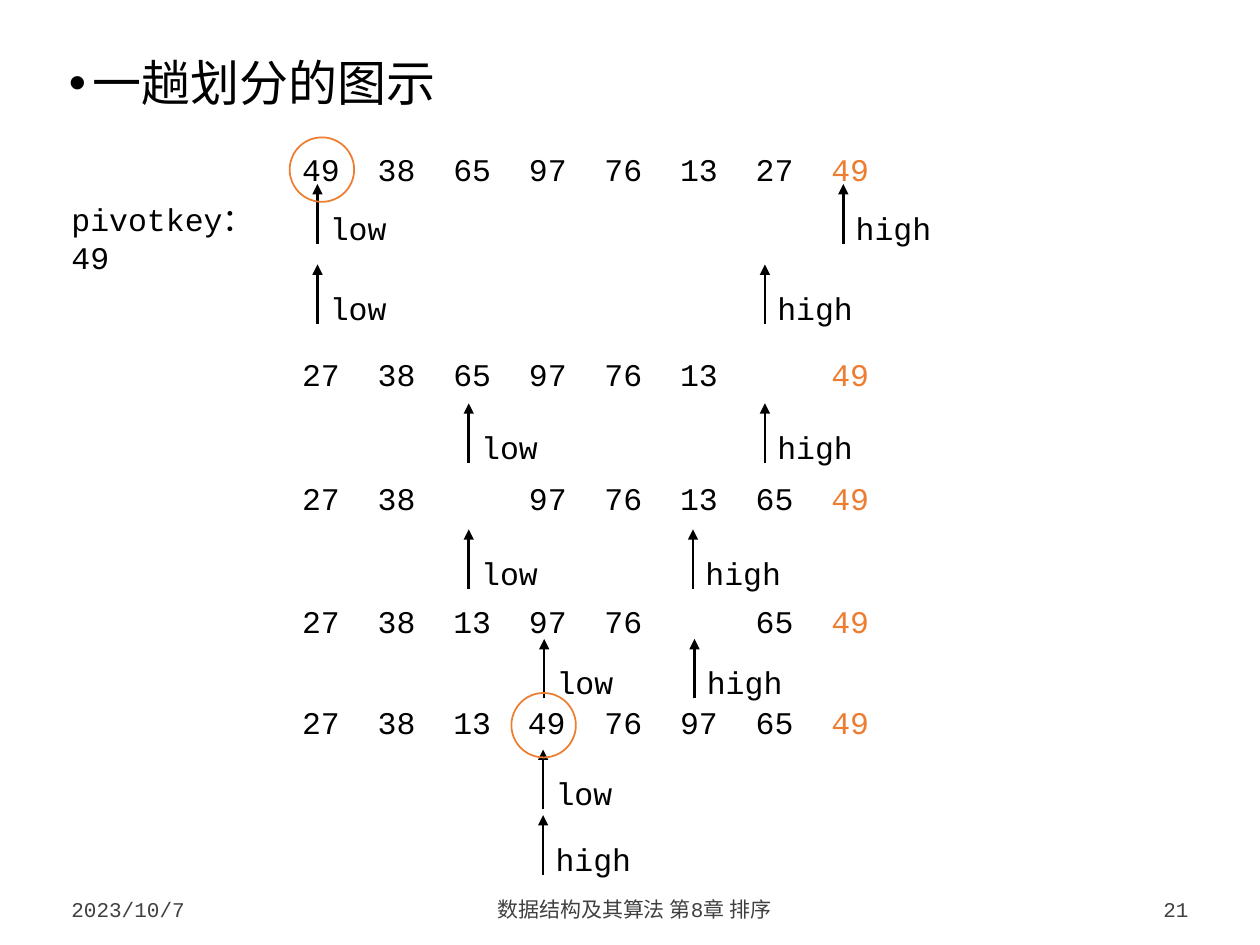
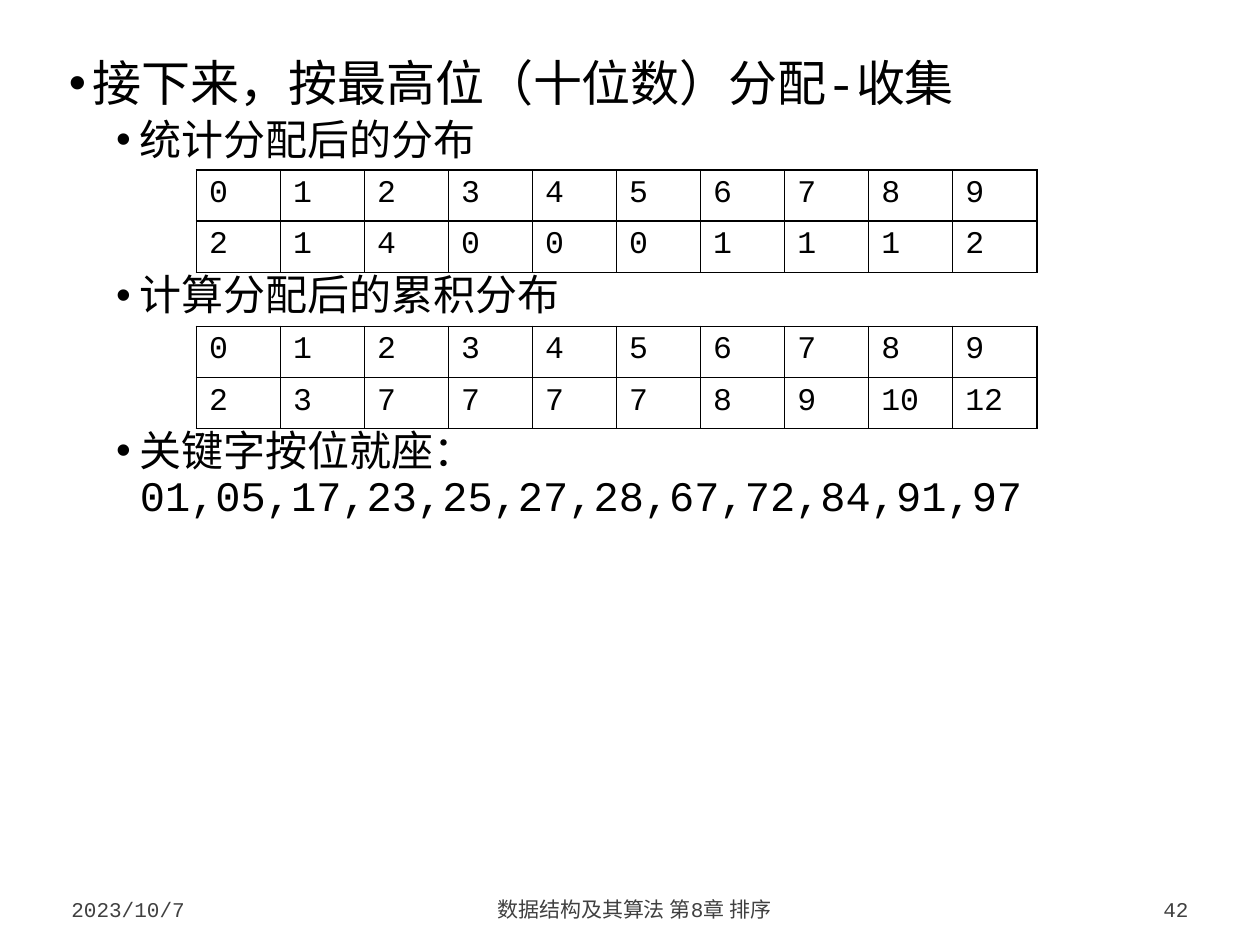
from pptx import Presentation, util as u
from pptx.dml.color import RGBColor
from pptx.enum import shapes, text
from pptx.oxml import parse_xml
from pptx.oxml.ns import nsdecls

Cm, Pt = u.Cm, u.Pt
COLORS = {"ink": "000000", "accent": "ED7D31", "footer": "404040"}
FONT = "Courier New"
LEFT, WIDTH = 1.19, 23.02
FOOTER_TOP = 17.7
LINE_HEIGHT = 1.02
TAB_STEP = 1.524
TABLE_GAP = 63


def set_font(target, size, color="ink"):
    target.font.name = FONT
    target.font.size = Pt(size)
    target.font.bold = False
    target.font.color.rgb = RGBColor.from_string(COLORS[color])


def add_text(page, words, left, top, width, height=LINE_HEIGHT, size=18, color="ink", wrap=False):
    box = page.shapes.add_textbox(Cm(left), Cm(top), Cm(width), Cm(height))
    box.text_frame.word_wrap = wrap
    para = box.text_frame.paragraphs[0]
    para.text = words
    set_font(para, size, color)
    return box


deck = Presentation()
deck.slide_width, deck.slide_height = Cm(25.4), Cm(19.05)

outlines = [
    (21, [(0, "一趟划分的图示", 7.5)]),
    (42, [
        (0, "接下来，按最高位（十位数）分配-收集", 7.5),
        (1, "统计分配后的分布", 3.8),
        (1, "计算分配后的累积分布", TABLE_GAP),
        (1, "关键字按位就座：01,05,17,23,25,27,28,67,72,84,91,97", TABLE_GAP),
    ]),
]
levels = [(28, 0.48), (24, 1.43)]
pages = []
for number, lines in outlines:
    page = deck.slides.add_slide(deck.slide_layouts[6])
    pages.append(page)

    body = page.shapes.add_textbox(Cm(LEFT), Cm(1), Cm(WIDTH), Cm(16.3))
    frame = body.text_frame
    frame.word_wrap = True
    frame.margin_left = frame.margin_right = frame.margin_top = frame.margin_bottom = Cm(0.2)
    for index, (level, words, gap) in enumerate(lines):
        para = frame.add_paragraph() if index else frame.paragraphs[0]
        para.text = words
        para.level = level
        para.line_spacing = 0.9
        para.space_before = Pt(gap)
        size, indent = levels[level]
        set_font(para, size)
        props = para._p.get_or_add_pPr()
        props.set("marL", str(Cm(indent)))
        props.set("indent", str(-Cm(0.48)))
        bullet = [
            f'<a:buFont {nsdecls("a")} typeface="Arial"/>',
            f'<a:buChar {nsdecls("a")} char="•"/>',
        ]
        position = props.index(props.find("{*}defRPr"))
        for offset, xml in enumerate(bullet):
            props.insert(position + offset, parse_xml(xml))

    footers = [
        ("2023/10/7", LEFT, 3.18, text.PP_ALIGN.LEFT),
        ("数据结构及其算法 第8章 排序", 4.67, 16.23, text.PP_ALIGN.CENTER),
        (str(number), 21.21, 3, text.PP_ALIGN.RIGHT),
    ]
    for words, left, width, align in footers:
        box = add_text(page, words, left, FOOTER_TOP, width, 1, 12, "footer", True)
        box.text_frame.vertical_anchor = text.MSO_ANCHOR.BOTTOM
        box.text_frame.paragraphs[0].alignment = align

partition, counting = pages

sequences = [
    (2.9, ["49", "38", "65", "97", "76", "13", "27"]),
    (7.04, ["27", "38", "65", "97", "76", "13", ""]),
    (9.53, ["27", "38", "", "97", "76", "13", "65"]),
    (12.01, ["27", "38", "13", "97", "76", "", "65"]),
    (14.05, ["27", "38", "13", "", "76", "97", "65"]),
]
for top, keys in sequences:
    box = add_text(partition, "\t".join(keys) + "\t", 5.84, top, 12.2, wrap=True)
    para = box.text_frame.paragraphs[0]
    span = para.add_run()
    span.text = "49"
    set_font(span, 18, "accent")
    stops = "".join(
        f'<a:tab pos="{Cm(TAB_STEP * stop)}" algn="l"/>' for stop in range(1, len(keys) + 1)
    )
    props = para._p.get_or_add_pPr()
    props.insert(0, parse_xml(f'<a:tabLst {nsdecls("a")}>{stops}</a:tabLst>'))

add_text(partition, "pivotkey：49", LEFT, 3.91, 4.8, wrap=True)
add_text(partition, "49", 10.39, 14.05, 1.27)

pointers = [
    ("low", 6.4, 3.71), ("high", 17, 3.71),
    ("low", 6.4, 5.33), ("high", 15.42, 5.33),
    ("low", 9.45, 8.13), ("high", 15.42, 8.13),
    ("low", 9.45, 10.67), ("high", 13.97, 10.67),
    ("low", 10.97, 12.88), ("high", 14, 12.88),
    ("low", 10.95, 15.11), ("high", 10.95, 16.43),
]
for name, left, tip in pointers:
    arrow = partition.shapes.add_connector(
        shapes.MSO_CONNECTOR.STRAIGHT, Cm(left), Cm(tip + 1.2), Cm(left), Cm(tip)
    )
    arrow.line.width = Pt(1.5)
    arrow.line.color.rgb = RGBColor.from_string(COLORS["ink"])
    arrow.line._get_or_add_ln().append(parse_xml(f'<a:tailEnd {nsdecls("a")} type="triangle"/>'))
    arrow._element.spPr.append(parse_xml(f'<a:effectLst {nsdecls("a")}/>'))
    add_text(partition, name, left, tip + 0.37, 1.65 if name == "low" else 2.06)

for left, top in [(5.84, 2.77), (10.31, 13.97)]:
    ring = partition.shapes.add_shape(
        shapes.MSO_SHAPE.OVAL, Cm(left), Cm(top), Cm(1.3), Cm(1.3)
    )
    ring.shadow.inherit = False
    ring.fill.background()
    ring.line.width = Pt(1)
    ring.line.color.rgb = RGBColor.from_string(COLORS["accent"])

tables = [
    (3.43, [2, 1, 4, 0, 0, 0, 1, 1, 1, 2]),
    (6.58, [2, 3, 7, 7, 7, 7, 8, 9, 10, 12]),
]
for top, counts in tables:
    grid = counting.shapes.add_table(2, 10, Cm(3.96), Cm(top), Cm(16.94), Cm(2.06)).table
    grid.first_row = grid.horz_banding = False
    for row, values in enumerate([range(10), counts]):
        for column, value in enumerate(values):
            cell = grid.cell(row, column)
            cell.text = str(value)
            set_font(cell.text_frame.paragraphs[0], 18)
            cell.fill.background()
            for index, side in enumerate(["lnL", "lnR", "lnT", "lnB"]):
                border = parse_xml(
                    f'<a:{side} {nsdecls("a")} w="{Pt(1)}"><a:solidFill>'
                    f'<a:srgbClr val="{COLORS["ink"]}"/></a:solidFill></a:{side}>'
                )
                cell._tc.get_or_add_tcPr().insert(index, border)

deck.save("out.pptx")
